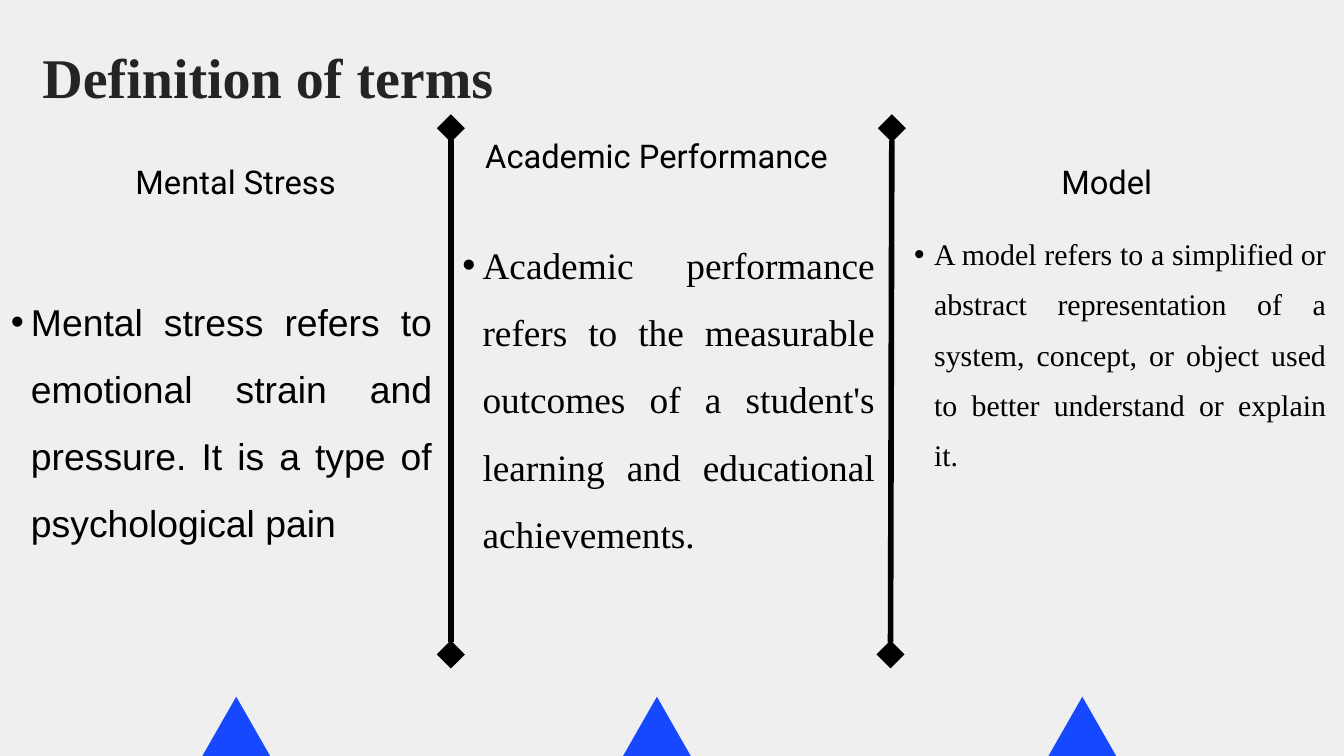
from lxml.etree import SubElement
from pptx import Presentation
from pptx.dml.color import RGBColor
from pptx.enum.shapes import MSO_CONNECTOR as Connector, MSO_SHAPE as Shape
from pptx.enum.text import MSO_ANCHOR as Anchor, MSO_AUTO_SIZE as AutoSize, PP_ALIGN as Align
from pptx.oxml.ns import qn
from pptx.util import Cm, Pt

BACKGROUND = RGBColor(0xEF, 0xEF, 0xEF)
TITLE_COLOR = RGBColor(0x24, 0x24, 0x24)
BLACK = RGBColor(0, 0, 0)
BLUE = RGBColor(0x16, 0x49, 0xFF)
SERIF = "Times New Roman"

COLUMNS = [
    dict(
        heading="Mental Stress", heading_area=(1.24, 5.66, 15.34, 1.96), heading_align=Align.CENTER,
        definition="Mental stress refers to emotional strain and pressure. It is a type of psychological pain",
        area=(-0.33, 10.46, 16.66, 10.26), font="Arial", size=40, spacing=1.5,
    ),
    dict(
        heading="Academic Performance", heading_area=(18.34, 4.7, 14.53, 3.89), heading_align=Align.JUSTIFY,
        definition="Academic performance refers to the measurable outcomes of a student's learning "
                   "and educational achievements.",
        area=(16.74, 8.31, 16.33, 12.83), font=SERIF, size=40, spacing=1.5,
    ),
    dict(
        heading="Model", heading_area=(34.52, 5.66, 14.63, 2.69), heading_align=Align.CENTER,
        definition="A model refers to a simplified or abstract representation of a system, concept, "
                   "or object used to better understand or explain it.",
        area=(33.81, 8.38, 16.33, 9.58), font=SERIF, size=32, spacing=1.4,
    ),
]
DIVIDERS = [(17.04, 17.04), (33.66, 33.71)]
TRIANGLE_LEFTS = [5.82, 21.72, 37.8]


def add_bullet(para):
    para.level = 1
    properties = para._p.get_or_add_pPr()
    properties.set("marL", str(Cm(1.5)))
    properties.set("indent", str(Cm(-0.76)))
    color = SubElement(properties, qn("a:buClr"))
    SubElement(color, qn("a:srgbClr"), val=str(BLACK))
    SubElement(properties, qn("a:buFont"), typeface="Arial")
    SubElement(properties, qn("a:buChar"), char="•")


def write_text(box, text, area, *, font, size, spacing, align=Align.CENTER,
               color=BLACK, bold=False, bullet=False):
    box.left, box.top, box.width, box.height = map(Cm, area)
    frame = box.text_frame
    frame.word_wrap = True
    frame.auto_size = AutoSize.NONE
    frame.vertical_anchor = Anchor.TOP
    frame.margin_left = frame.margin_top = frame.margin_right = frame.margin_bottom = 0
    para = frame.paragraphs[0]
    para.alignment = align
    para.line_spacing = spacing
    para.space_before = Pt(0)
    span = para.add_run()
    span.text = text
    span.font.name = font
    span.font.size = Pt(size)
    span.font.bold = bold
    span.font.color.rgb = color
    if bullet:
        add_bullet(para)


def add_column(heading_box, definition_box, column):
    write_text(heading_box, column["heading"], column["heading_area"],
               font="Roboto", size=35, spacing=1.3, align=column["heading_align"])
    write_text(definition_box, column["definition"], column["area"], font=column["font"],
               size=column["size"], spacing=column["spacing"], align=Align.JUSTIFY, bullet=True)


def add_divider(page, bottom_x, top_x):
    divider = page.shapes.add_connector(
        Connector.STRAIGHT, Cm(bottom_x), Cm(24.74), Cm(top_x), Cm(4.85))
    divider.line.color.rgb = BLACK
    divider.line.width = Pt(6)
    outline = divider.line._get_or_add_ln()
    for end in ("a:headEnd", "a:tailEnd"):
        SubElement(outline, qn(end), type="diamond", w="lg", len="lg")
    SubElement(divider._element.spPr, qn("a:effectLst"))


def add_triangle(page, left):
    triangle = page.shapes.add_shape(
        Shape.ISOSCELES_TRIANGLE, Cm(left), Cm(26.34), Cm(6.22), Cm(5.44))
    triangle.shadow.inherit = False
    triangle.fill.solid()
    triangle.fill.fore_color.rgb = BLUE
    triangle.line.fill.background()


def main():
    deck = Presentation()
    deck.slide_width, deck.slide_height = Cm(50.8), Cm(28.58)
    page = deck.slides.add_slide(deck.slide_layouts.get_by_name("Comparison"))
    page.background.fill.solid()
    page.background.fill.fore_color.rgb = BACKGROUND

    write_text(page.shapes.title, "Definition of terms", (-6.1, 1.09, 32.46, 3.07),
               font=SERIF, size=60, spacing=1.2, color=TITLE_COLOR, bold=True)
    boxes = list(page.placeholders)[1:]
    boxes += [page.shapes.add_textbox(0, 0, 0, 0) for _ in range(2)]
    for heading_box, definition_box, column in zip(boxes[::2], boxes[1::2], COLUMNS):
        add_column(heading_box, definition_box, column)
    for bottom_x, top_x in DIVIDERS:
        add_divider(page, bottom_x, top_x)
    for left in TRIANGLE_LEFTS:
        add_triangle(page, left)
    deck.save("out.pptx")


if __name__ == "__main__":
    main()
